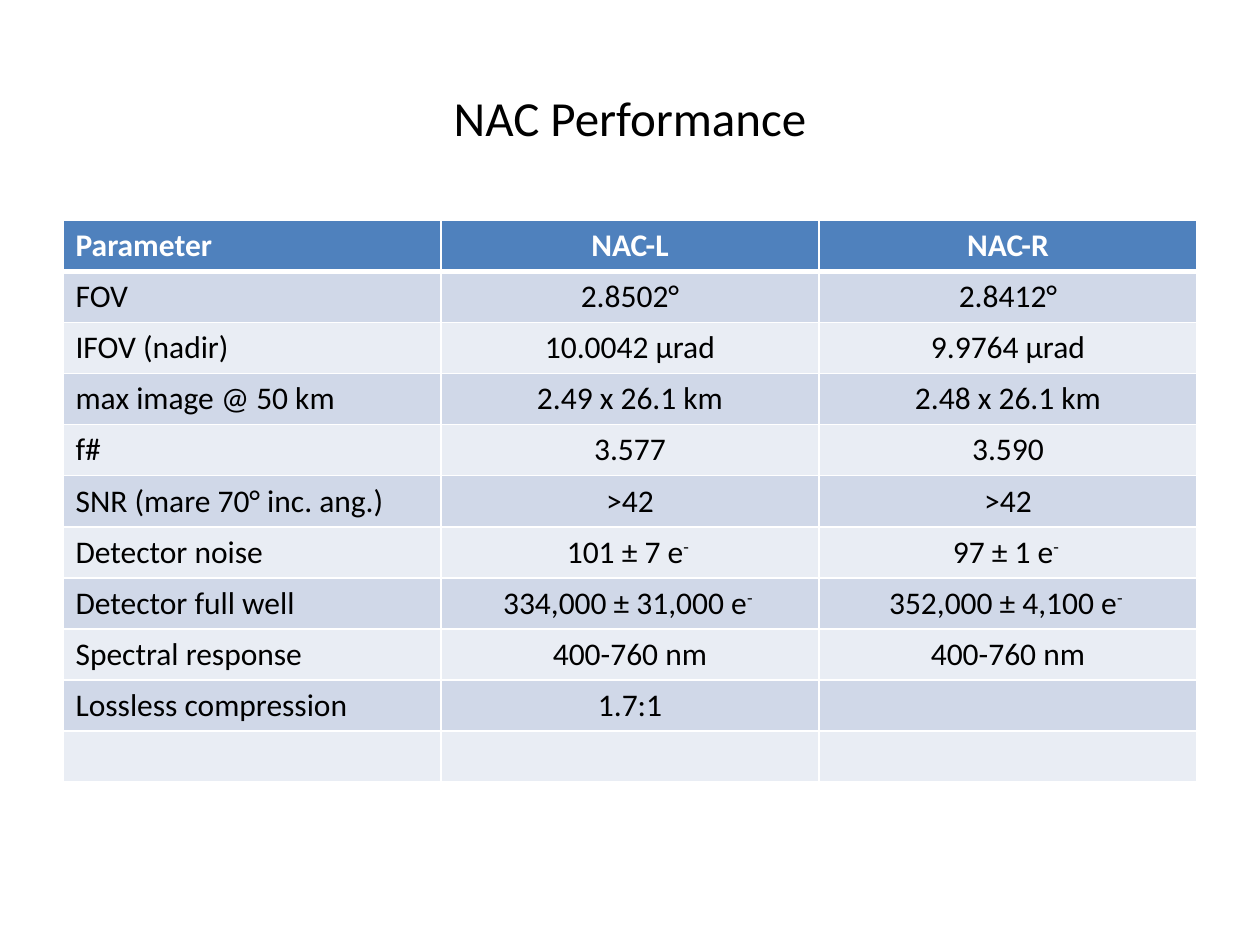
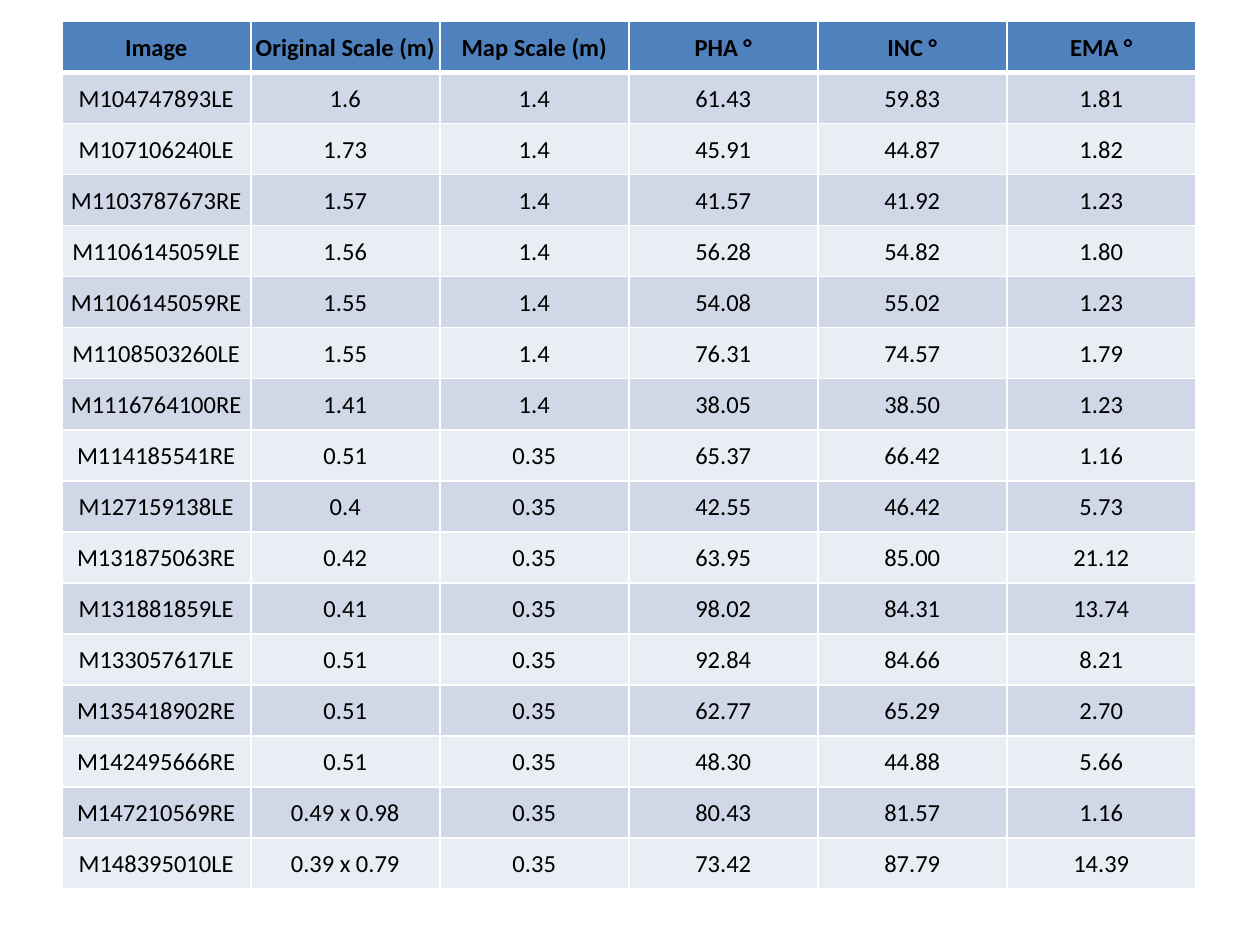
"""Builds two slides of camera performance and image geometry tables."""
from lxml.etree import SubElement
from pptx import Presentation
from pptx.dml.color import RGBColor
from pptx.enum.text import MSO_ANCHOR, PP_ALIGN
from pptx.oxml.ns import qn
from pptx.util import Inches, Pt

COLORS = {
    "header": "4F81BD",
    "odd_band": "D0D8E8",
    "even_band": "E9EDF4",
    "border": "FFFFFF",
    "light_text": "FFFFFF",
    "dark_text": "000000",
}
FONT = "Calibri"
SLIDE_WIDTH, SLIDE_HEIGHT = 10, 7.5
TABLE_WIDTH = 0.9 * SLIDE_WIDTH
SUPERSCRIPT_MARK = "^"

TITLE = "NAC Performance"
PERFORMANCE = [
    ("Parameter", "NAC-L", "NAC-R"),
    ("FOV", "2.8502°", "2.8412°"),
    ("IFOV (nadir)", "10.0042 μrad", "9.9764 μrad"),
    ("max image @ 50 km", "2.49 x 26.1 km", "2.48 x 26.1 km"),
    ("f#", "3.577", "3.590"),
    ("SNR (mare 70° inc. ang.)", ">42", ">42"),
    ("Detector noise", "101 ± 7 e^- ", "97 ± 1 e^- "),
    ("Detector full well", "334,000 ± 31,000 e^- ", "352,000 ± 4,100 e^- "),
    ("Spectral response", "400-760 nm", "400-760 nm"),
    ("Lossless compression", "1.7:1", ""),
    ("", "", ""),
]
IMAGES = [
    ("Image", "Original Scale (m)", "Map Scale (m)", "PHA °", "INC °", "EMA °"),
    ("M104747893LE", "1.6", "1.4", "61.43", "59.83", "1.81"),
    ("M107106240LE", "1.73", "1.4", "45.91", "44.87", "1.82"),
    ("M1103787673RE", "1.57", "1.4", "41.57", "41.92", "1.23"),
    ("M1106145059LE", "1.56", "1.4", "56.28", "54.82", "1.80"),
    ("M1106145059RE", "1.55", "1.4", "54.08", "55.02", "1.23"),
    ("M1108503260LE", "1.55", "1.4", "76.31", "74.57", "1.79"),
    ("M1116764100RE", "1.41", "1.4", "38.05", "38.50", "1.23"),
    ("M114185541RE", "0.51", "0.35", "65.37", "66.42", "1.16"),
    ("M127159138LE", "0.4", "0.35", "42.55", "46.42", "5.73"),
    ("M131875063RE", "0.42", "0.35", "63.95", "85.00", "21.12"),
    ("M131881859LE", "0.41", "0.35", "98.02", "84.31", "13.74"),
    ("M133057617LE", "0.51", "0.35", "92.84", "84.66", "8.21"),
    ("M135418902RE", "0.51", "0.35", "62.77", "65.29", "2.70"),
    ("M142495666RE", "0.51", "0.35", "48.30", "44.88", "5.66"),
    ("M147210569RE", "0.49 x 0.98", "0.35", "80.43", "81.57", "1.16"),
    ("M148395010LE", "0.39 x 0.79", "0.35", "73.42", "87.79", "14.39"),
]


def add_run(paragraph, text, size, color, bold=False):
    run = paragraph.add_run()
    run.text = text
    run.font.name = FONT
    run.font.size = Pt(size)
    run.font.bold = bold
    run.font.color.rgb = RGBColor.from_string(COLORS[color])
    return run


def add_marked_text(paragraph, text, size, color, bold):
    base, _, superscript = text.partition(SUPERSCRIPT_MARK)
    if base:
        add_run(paragraph, base, size, color, bold)
    if superscript:
        run = add_run(paragraph, superscript, size, color, bold)
        run.font._element.set("baseline", "30000")


def add_borders(cell, row_index):
    properties = cell._tc.get_or_add_tcPr()
    widths = {
        "a:lnL": 1,
        "a:lnR": 1,
        "a:lnT": 3 if row_index == 1 else 1,
        "a:lnB": 3 if row_index == 0 else 1,
    }
    for tag, width in widths.items():
        line = SubElement(properties, qn(tag), w=str(Pt(width)))
        fill = SubElement(line, qn("a:solidFill"))
        SubElement(fill, qn("a:srgbClr"), val=COLORS["border"])


def band_color(row_index):
    if row_index == 0:
        return "header"
    return "odd_band" if row_index % 2 else "even_band"


def add_data_table(slide, rows, left, top, height, size, header_text,
                   first_align=PP_ALIGN.CENTER, compact=False):
    frame = slide.shapes.add_table(
        len(rows), len(rows[0]), Inches(left), Inches(top),
        Inches(TABLE_WIDTH), Inches(height))
    table = frame.table
    table.first_row = table.horz_banding = False
    for row_index, row in enumerate(rows):
        is_header = row_index == 0
        for column_index, text in enumerate(row):
            cell = table.cell(row_index, column_index)
            if compact:
                cell.margin_left = cell.margin_right = cell.margin_top = Inches(0.01)
                cell.margin_bottom = 0
                cell.vertical_anchor = MSO_ANCHOR.MIDDLE
            add_borders(cell, row_index)
            cell.fill.solid()
            cell.fill.fore_color.rgb = RGBColor.from_string(COLORS[band_color(row_index)])
            paragraph = cell.text_frame.paragraphs[0]
            paragraph.alignment = PP_ALIGN.CENTER if column_index else first_align
            color = header_text if is_header else "dark_text"
            add_marked_text(paragraph, text, size, color, is_header)


def add_title(slide, text):
    shape = slide.shapes.add_textbox(
        Inches(0.05 * SLIDE_WIDTH), Inches(0.04 * SLIDE_HEIGHT),
        Inches(TABLE_WIDTH), Inches(SLIDE_HEIGHT / 6))
    text_frame = shape.text_frame
    text_frame.word_wrap = True
    text_frame.vertical_anchor = MSO_ANCHOR.MIDDLE
    paragraph = text_frame.paragraphs[0]
    paragraph.alignment = PP_ALIGN.CENTER
    add_run(paragraph, text, 28, "dark_text")


def main():
    presentation = Presentation()
    presentation.slide_width = Inches(SLIDE_WIDTH)
    presentation.slide_height = Inches(SLIDE_HEIGHT)
    blank = presentation.slide_layouts[6]

    performance_slide = presentation.slides.add_slide(blank)
    add_title(performance_slide, TITLE)
    add_data_table(performance_slide, PERFORMANCE, 0.5, 1.75, 4.46, 18,
                   "light_text", first_align=PP_ALIGN.LEFT)

    images_slide = presentation.slides.add_slide(blank)
    add_data_table(images_slide, IMAGES, 0.49, 0.17, 6.89, 14,
                   "dark_text", compact=True)

    presentation.save("out.pptx")


if __name__ == "__main__":
    main()
